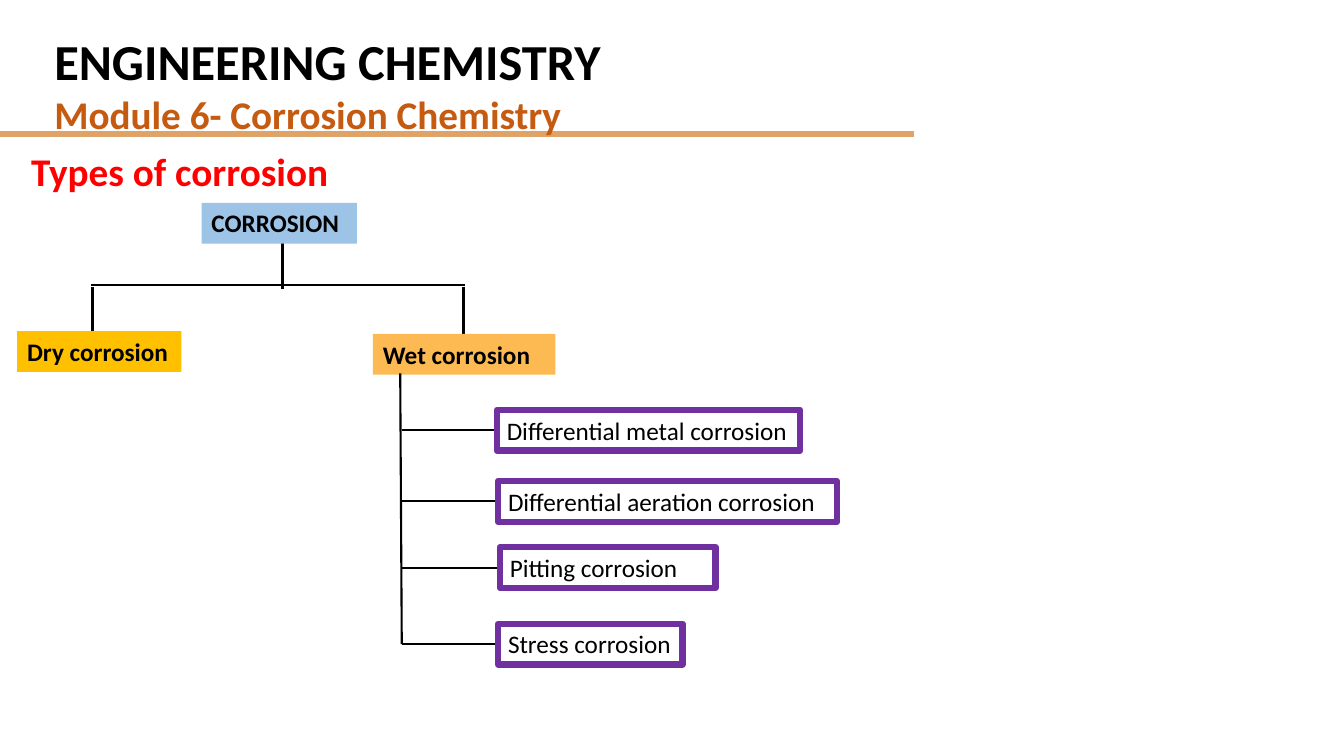
from lxml import etree
from pptx import Presentation
from pptx.dml.color import RGBColor
from pptx.enum.shapes import MSO_CONNECTOR, MSO_SHAPE
from pptx.enum.text import MSO_ANCHOR, PP_ALIGN
from pptx.oxml.ns import qn
from pptx.util import Pt

STRAIGHT = MSO_CONNECTOR.STRAIGHT
RECT = MSO_SHAPE.RECTANGLE
TOP = MSO_ANCHOR.TOP
LEFT = PP_ALIGN.LEFT

THEME = {
    "font": "Calibri",
    "size": {"title": 36, "heading": 28, "node": 18},
    "color": {
        "ink": "000000", "module": "C55A11", "heading": "FF0000",
        "rule": "DFA267", "root": "9DC3E6", "dry": "FFC000",
        "wet": "FDBA53", "leaf": "7030A0",
    },
}

HEADINGS = [
    ((31.7, 18, 630, 85), [("ENGINEERING CHEMISTRY", "title", "ink"),
                           ("Module 6- Corrosion Chemistry", "heading", "module")]),
    ((15.1, 101.5, 263.5, 41), [("Types of corrosion", "heading", "heading")]),
]
NODES = {
    "root": ("CORROSION", 144, 144.9, 110.9),
    "dry": ("Dry corrosion", 12.3, 236.6, 117.3),
    "wet": ("Wet corrosion", 266.4, 238.6, 130.4),
}
LEAVES = [
    ("Differential metal corrosion", 354.9, 292.8, 216.7),
    ("Differential aeration corrosion", 355.8, 343.6, 241.9),
    ("Pitting corrosion", 357.1, 390.9, 154.1),
    ("Stress corrosion", 355.8, 445.6, 131.8),
]
NODE_H = 29.08
RULE_YS = (95, 96.5)
RULE_END = 653
BAR_Y = 203.8
ROOT_X, DRY_X, WET_X = 201.6, 65.9, 331.2
TRUNK_TOP_X, TRUNK_X = 285.9, 287

prs = Presentation()
prs.slide_width, prs.slide_height = Pt(960), Pt(540)
s = prs.slides.add_slide(prs.slide_layouts[6])


def rgb(name):
    return RGBColor.from_string(THEME["color"][name])


def add_line(x1, y1, x2, y2, width, color="ink"):
    c = s.shapes.add_connector(STRAIGHT, Pt(x1), Pt(y1), Pt(x2), Pt(y2))
    c.line.width = Pt(width)
    c.line.color.rgb = rgb(color)
    etree.SubElement(c._element.spPr, qn("a:effectLst"))


def write(tf, lines, bold, wrap):
    tf.word_wrap = wrap
    tf.vertical_anchor = TOP
    for i, (text, size, color) in enumerate(lines):
        p = tf.paragraphs[0] if i == 0 else tf.add_paragraph()
        p.alignment = LEFT
        r = p.add_run()
        r.text = text
        style = {"name": THEME["font"], "size": Pt(THEME["size"][size]), "bold": bold}
        for key, value in style.items():
            setattr(r.font, key, value)
        r.font.color.rgb = rgb(color)


def add_node(text, x, y, w, fill=None, border=None):
    sp = s.shapes.add_shape(RECT, Pt(x), Pt(y), Pt(w), Pt(NODE_H))
    sp.shadow.inherit = False
    if fill:
        sp.fill.solid()
        sp.fill.fore_color.rgb = rgb(fill)
    else:
        sp.fill.background()
    if border:
        sp.line.width = Pt(4.5)
        sp.line.color.rgb = rgb(border)
    else:
        sp.line.fill.background()
    write(sp.text_frame, [(text, "node", "ink")], bold=bool(fill), wrap=False)


for y in RULE_YS:
    add_line(0, y, RULE_END, y, 3, "rule")
for box, lines in HEADINGS:
    sp = s.shapes.add_textbox(*map(Pt, box))
    write(sp.text_frame, lines, bold=True, wrap=True)

add_line(ROOT_X, NODES["root"][2] + NODE_H - 7, ROOT_X, BAR_Y + 2.9, 2.25)
add_line(DRY_X - 1, BAR_Y, WET_X + 1, BAR_Y, 1.5)
for x, name in ((DRY_X, "dry"), (WET_X, "wet")):
    add_line(x, BAR_Y + 1, x, NODES[name][2] + 1, 2.25)
for name, node in NODES.items():
    add_node(*node, fill=name)

add_line(TRUNK_TOP_X, NODES["wet"][2] + NODE_H - 1,
         TRUNK_X, LEAVES[-1][2] + NODE_H / 2, 1.5)
for leaf in LEAVES:
    text, x, y, w = leaf
    add_line(TRUNK_X, y + NODE_H / 2, x - 2, y + NODE_H / 2, 1.5)
    add_node(*leaf, border="leaf")

prs.save("out.pptx")
